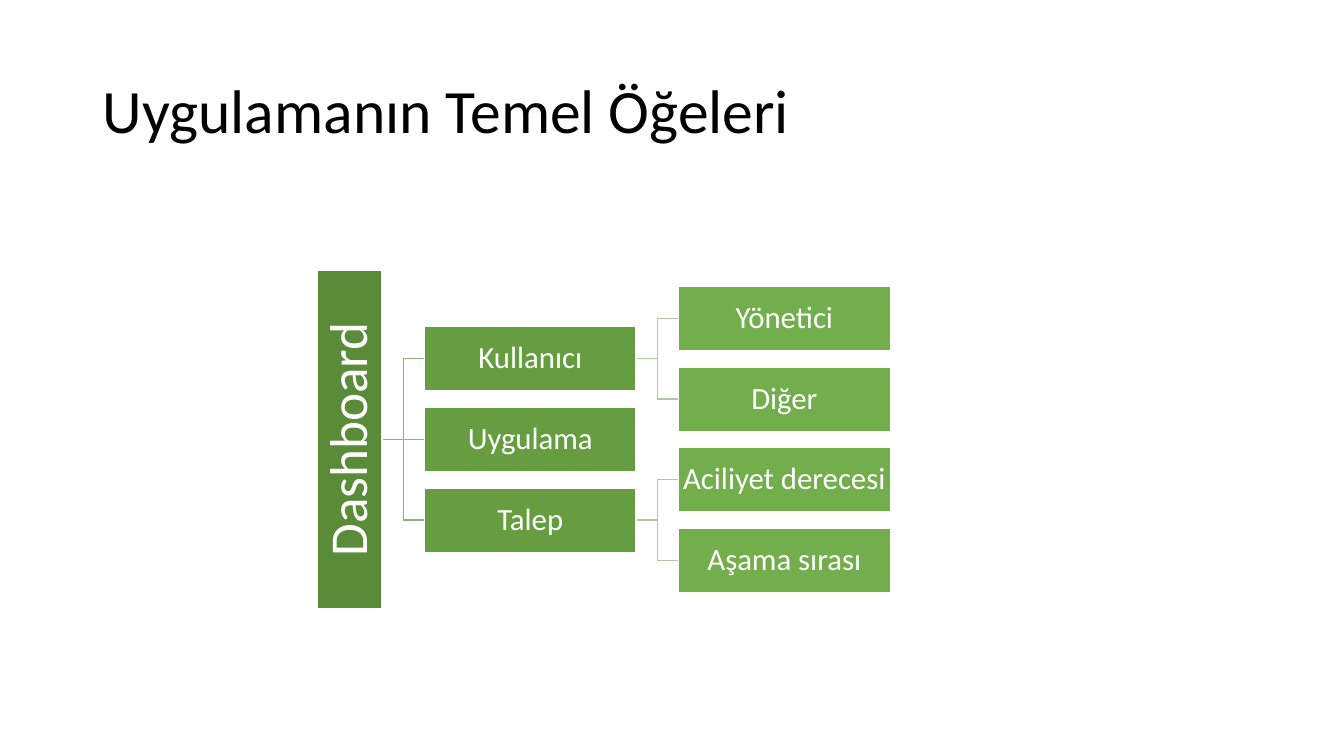
import pptx
import pptx.util
import pptx.dml.color
import pptx.enum.shapes
import pptx.enum.text
import pptx.oxml.ns
import lxml.etree

Inches, Pt = pptx.util.Inches, pptx.util.Pt
RGB = pptx.dml.color.RGBColor.from_string
CONNECTOR = pptx.enum.shapes.MSO_CONNECTOR
ALIGN = pptx.enum.text.PP_ALIGN
TOP_LEVEL_SITE, LEFT_SITE, RIGHT_SITE = 0, 1, 3

THEME = {
    "font": "Calibri",
    "title_size": 44, "root_size": 38, "node_size": 22,
    "title": "000000", "node_text": "FFFFFF", "outline": "FFFFFF",
    "root": "5A8B39", "section": "669D40", "detail": "73AE4C",
    "section_link": "88B76F", "detail_link": "ACCA9F",
}
ROOT_LEFT, SECTION_LEFT, DETAIL_LEFT = 3.15, 4.21, 6.73
NODE_WIDTH, NODE_HEIGHT, ROOT_HEIGHT = 2.1, 0.64, 3.36
CENTER, PITCH = 4.36, 0.8
SECTIONS = [
    ("Kullanıcı", ["Yönetici", "Diğer"]),
    ("Uygulama", []),
    ("Talep", ["Aciliyet derecesi", "Aşama sırası"]),
]


def write(frame, text, size, color, align):
    frame.word_wrap = True
    frame.auto_size = pptx.enum.text.MSO_AUTO_SIZE.NONE
    frame.vertical_anchor = pptx.enum.text.MSO_ANCHOR.MIDDLE
    paragraph = frame.paragraphs[0]
    paragraph.alignment = align
    paragraph.line_spacing = 0.9
    run = paragraph.add_run()
    run.text = text
    run.font.name = THEME["font"]
    run.font.size = Pt(THEME[size])
    run.font.color.rgb = RGB(THEME[color])


def add_node(text, left, middle, width, height, level, size="node_size", inset=0.02):
    node = slide.shapes.add_shape(
        pptx.enum.shapes.MSO_SHAPE.RECTANGLE,
        Inches(left), Inches(middle - height / 2), Inches(width), Inches(height))
    node.shadow.inherit = False
    node.fill.solid()
    node.fill.fore_color.rgb = RGB(THEME[level])
    node.line.color.rgb = RGB(THEME["outline"])
    node.line.width = Pt(1)
    frame = node.text_frame
    frame.margin_left = frame.margin_right = Inches(inset)
    frame.margin_top = frame.margin_bottom = Inches(inset)
    write(frame, text, size, "node_text", ALIGN.CENTER)
    return node


presentation = pptx.Presentation()
presentation.slide_width, presentation.slide_height = Inches(13.33), Inches(7.5)
slide = presentation.slides.add_slide(presentation.slide_layouts[5])

title = slide.shapes.title
title.left, title.top = Inches(0.92), Inches(0.4)
title.width, title.height = Inches(11.5), Inches(1.45)
write(title.text_frame, "Uygulamanın Temel Öğeleri", "title_size", "title", ALIGN.LEFT)

dashboard = add_node("Dashboard", ROOT_LEFT, CENTER, NODE_HEIGHT, ROOT_HEIGHT,
                     "root", "root_size", 0.03)
dashboard.text_frame._txBody.bodyPr.set("vert", "vert270")

links = []
detail_middle = CENTER - 1.5 * PITCH
for row, (section_name, detail_names) in enumerate(SECTIONS):
    section_middle = CENTER + (row - 1) * PITCH
    section = add_node(section_name, SECTION_LEFT, section_middle,
                       NODE_WIDTH, NODE_HEIGHT, "section")
    route = CONNECTOR.STRAIGHT if section_middle == CENTER else CONNECTOR.ELBOW
    links.append((dashboard, section, route, "section_link"))
    for detail_name in detail_names:
        detail = add_node(detail_name, DETAIL_LEFT, detail_middle,
                          NODE_WIDTH, NODE_HEIGHT, "detail")
        links.append((section, detail, CONNECTOR.ELBOW, "detail_link"))
        detail_middle += PITCH

for parent, child, route, color in links:
    link = slide.shapes.add_connector(route, 0, 0, 0, 0)
    link.begin_connect(parent, RIGHT_SITE)
    link.end_connect(child, LEFT_SITE)
    link.line.color.rgb = RGB(THEME[color])
    link.line.width = Pt(1)
    lxml.etree.SubElement(link._element.spPr, pptx.oxml.ns.qn("a:effectLst"))
    dashboard._element.addprevious(link._element)

presentation.save("out.pptx")
